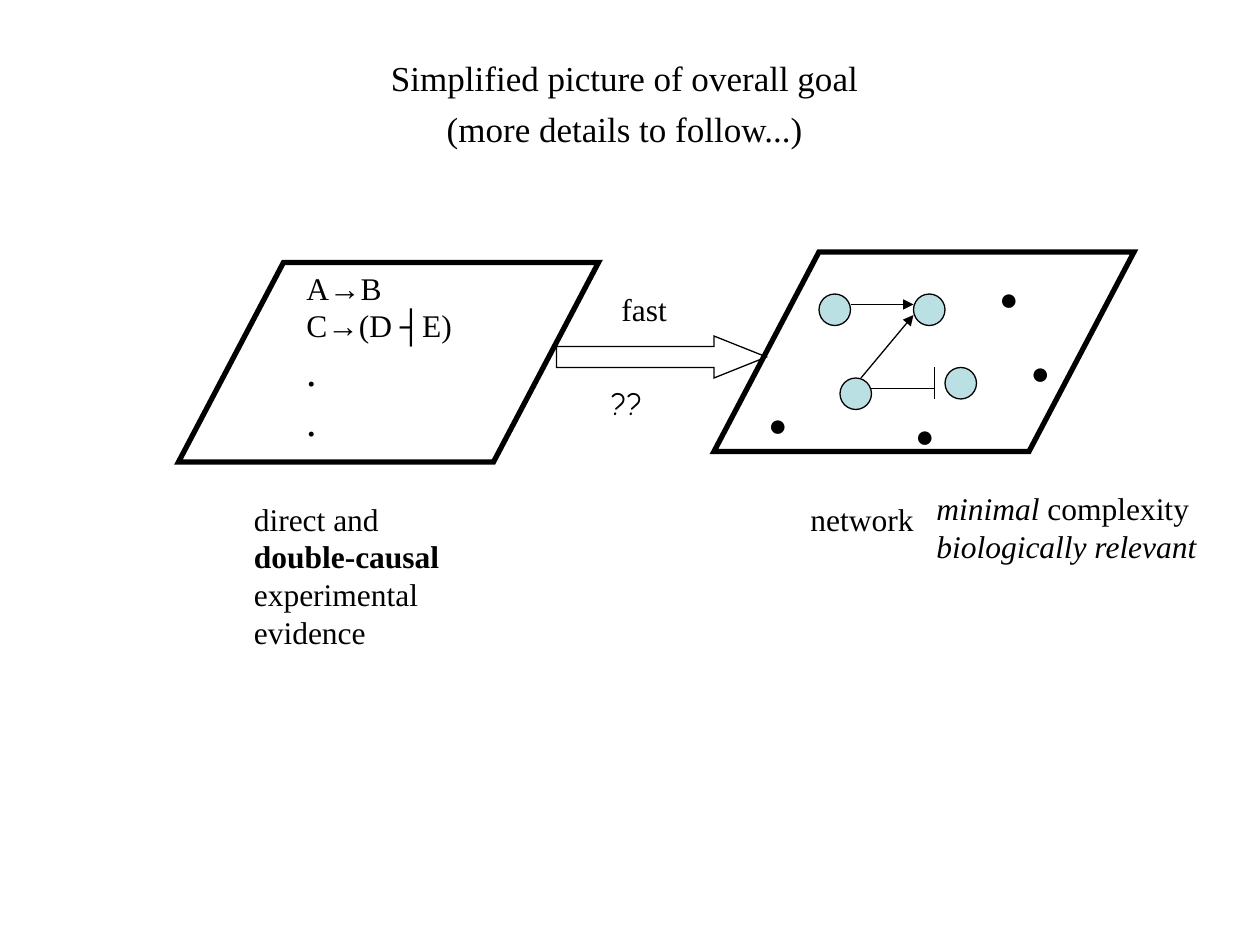
from lxml import etree
from pptx import Presentation
from pptx.dml.color import RGBColor
from pptx.enum.shapes import MSO_CONNECTOR, MSO_SHAPE
from pptx.enum.text import MSO_ANCHOR, MSO_AUTO_SIZE, PP_ALIGN
from pptx.oxml.ns import qn
from pptx.util import Inches, Pt

PARALLELOGRAM = MSO_SHAPE.PARALLELOGRAM
RIGHT_ARROW = MSO_SHAPE.RIGHT_ARROW
OVAL = MSO_SHAPE.OVAL
STRAIGHT = MSO_CONNECTOR.STRAIGHT
CENTER = PP_ALIGN.CENTER
TOP = MSO_ANCHOR.TOP
FIT_SHAPE = MSO_AUTO_SIZE.SHAPE_TO_FIT_TEXT
NO_FIT = MSO_AUTO_SIZE.NONE

COLORS = {"ink": "000000", "paper": "FFFFFF", "node": "BBE0E3"}
SERIF = "Times New Roman"
CASUAL = "Comic Neue"
COLUMNS, ROWS = 120, 90
TITLE_ONLY = 5


def color(name):
    """Return the named palette colour."""
    return RGBColor.from_string(COLORS[name])


def add_span(para, text, size=18, font=SERIF, bold=False, italic=False):
    """Add one formatted run to a paragraph."""
    span = para.add_run()
    span.text = text
    span.font.size = Pt(size)
    span.font.name = font
    span.font.bold = bold
    span.font.italic = italic
    span.font.color.rgb = color("ink")


class Sketch:
    """Draws diagram elements on a slide with a grid of columns and rows."""

    def __init__(self, deck):
        """Add a slide and work out the size of a grid cell."""
        self.page = deck.slides.add_slide(deck.slide_layouts[TITLE_ONLY])
        self.column = deck.slide_width / COLUMNS
        self.row = deck.slide_height / ROWS

    def place(self, left, top, width, height):
        """Convert a grid rectangle to slide lengths."""
        return (round(left * self.column), round(top * self.row),
                round(width * self.column), round(height * self.row))

    def title(self, area, lines):
        """Fill the title placeholder with centred lines."""
        box = self.page.shapes.title
        box.left, box.top, box.width, box.height = self.place(*area)
        frame = box.text_frame
        frame.auto_size = NO_FIT
        frame.vertical_anchor = TOP
        frame.margin_top = Inches(0.45)
        for index, line in enumerate(lines):
            para = frame.add_paragraph() if index else frame.paragraphs[0]
            para.alignment = CENTER
            para.space_before = Pt(5 if index else 0)
            add_span(para, line, size=20)

    def text(self, area, *lines):
        """Add an unwrapped text box; each line is a list of (text, format)."""
        frame = self.page.shapes.add_textbox(*self.place(*area)).text_frame
        frame.word_wrap = False
        frame.auto_size = FIT_SHAPE
        for index, line in enumerate(lines):
            para = frame.add_paragraph() if index else frame.paragraphs[0]
            for words, style in line:
                add_span(para, words, **style)

    def shape(self, kind, area, fill=None, weight=0.75, adjustments=()):
        """Add a preset shape with a sharp-cornered outline."""
        shape = self.page.shapes.add_shape(kind, *self.place(*area))
        shape.shadow.inherit = False
        for index, value in enumerate(adjustments):
            shape.adjustments[index] = value
        if fill:
            shape.fill.solid()
            shape.fill.fore_color.rgb = color(fill)
        else:
            shape.fill.background()
        shape.line.color.rgb = color("ink")
        shape.line.width = Pt(weight)
        outline = shape.line._get_or_add_ln()
        etree.SubElement(outline, qn("a:miter"), lim="800000")

    def line(self, ends, arrow=False):
        """Add a thin straight line, with an arrowhead if asked."""
        edge = self.page.shapes.add_connector(STRAIGHT, *self.place(*ends))
        edge.line.color.rgb = color("ink")
        edge.line.width = Pt(0.75)
        outline = edge.line._get_or_add_ln()
        if arrow:
            etree.SubElement(outline, qn("a:tailEnd"), type="triangle")
        etree.SubElement(outline.getparent(), qn("a:effectLst"))


def main():
    """Build the slide and save it."""
    deck = Presentation()
    deck.slide_width, deck.slide_height = Inches(10), Inches(7.5)
    sketch = Sketch(deck)
    plain = {}

    sketch.title((0, 0, 119, 15), ["Simplified picture of overall goal",
                                   "(more details to follow...)"])
    for left, top in ((17, 25), (68, 24)):
        sketch.shape(PARALLELOGRAM, (left, top, 40, 19), "paper", 3, [10 / 19])
    sketch.shape(RIGHT_ARROW, (53, 32, 20, 4), adjustments=[0.5, 1.25])

    sketch.text((28, 25, 16.6, 18), [("A→B", plain)], [("C→(D ┤E)", plain)],
                *[[(".", {"size": 24})]] * 2)
    sketch.text((23, 47, 20.4, 15.6), [("direct and", plain)],
                [("double-causal", {"bold": True})],
                [("experimental", plain)], [("evidence", plain)])
    sketch.text((76, 47, 12.4, 4.8), [("network", plain)])
    sketch.text((88, 46, 27.4, 8.4),
                [("minimal", {"italic": True}), (" complexity", plain)],
                [("biologically relevant", {"italic": True})])
    sketch.text((58, 27, 6.8, 4.8), [("fast", plain)])
    sketch.text((57, 36, 5.5, 4.8), [("??", {"font": CASUAL})])

    for left, top in ((78, 28), (87, 28), (90, 35), (80, 36)):
        sketch.shape(OVAL, (left, top, 3, 3), "node")
    for left, top in ((97, 33), (94, 26), (86, 39), (72, 38)):
        sketch.text((left, top, 4.2, 4.8), [("●", plain)])
    for ends in ((81, 29, 87, 29), (82, 36, 87, 30)):
        sketch.line(ends, arrow=True)
    for ends in ((83, 37, 89, 37), (89, 35, 89, 38)):
        sketch.line(ends)

    deck.save("out.pptx")


if __name__ == "__main__":
    main()
